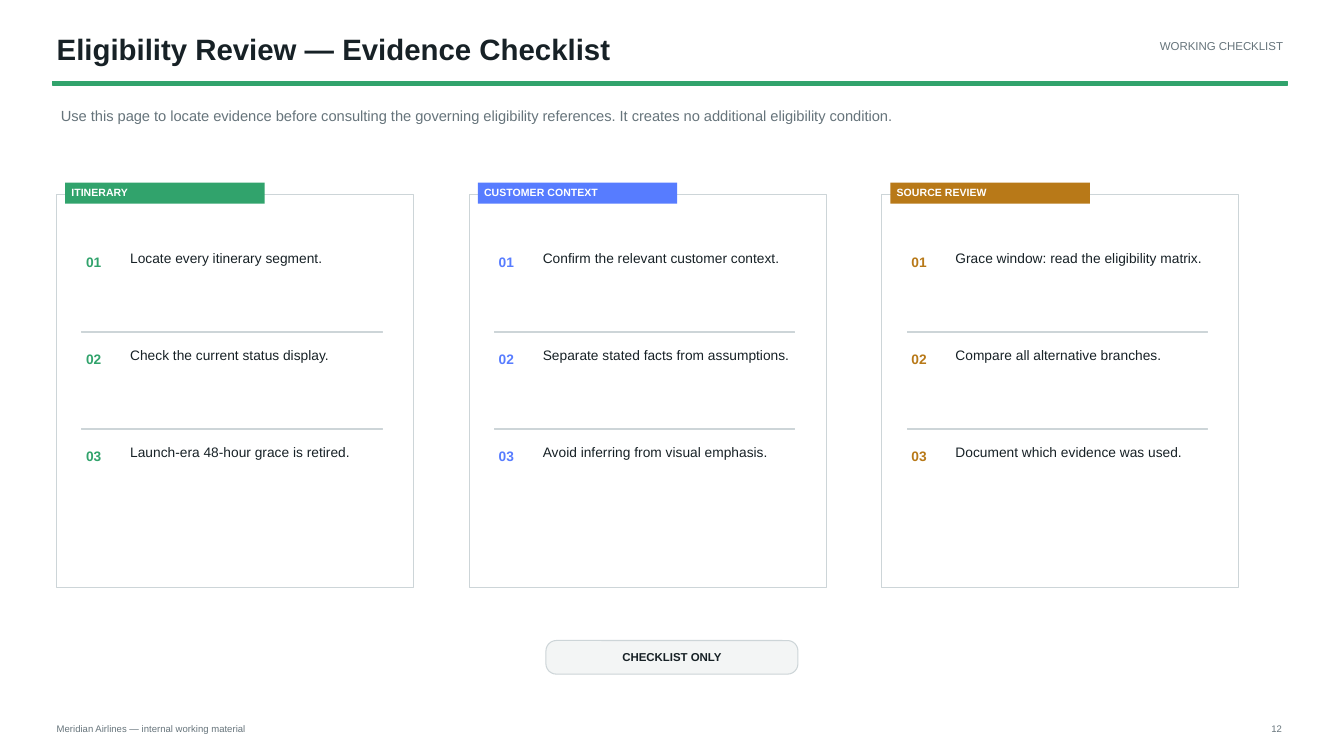
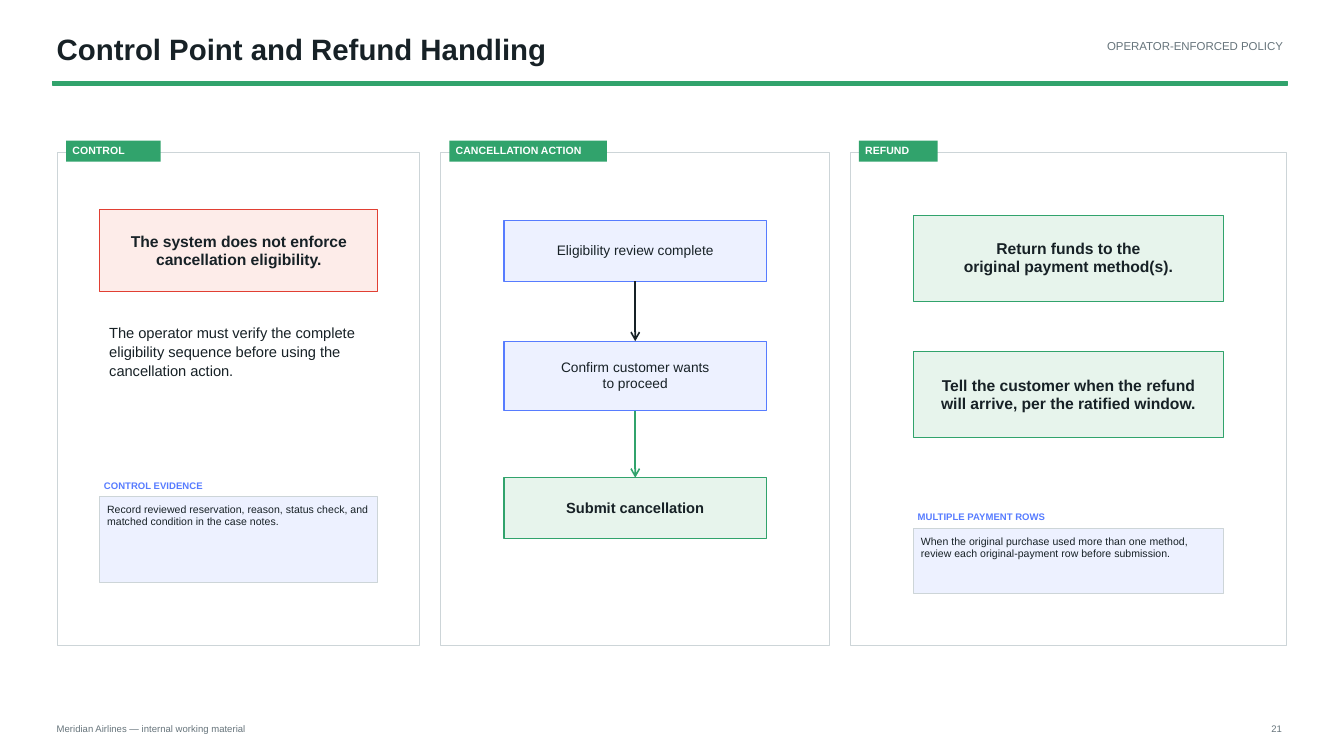
"""Build the checklist and refund slides on a grid of 1280 columns by 720 rows."""
from dataclasses import dataclass
from typing import NamedTuple, Optional

from lxml import etree
from pptx import Presentation
from pptx.dml.color import RGBColor
from pptx.enum.shapes import MSO_CONNECTOR, MSO_SHAPE
from pptx.enum.text import MSO_ANCHOR, MSO_AUTO_SIZE, PP_ALIGN
from pptx.oxml.ns import qn
from pptx.shapes.autoshape import Shape
from pptx.slide import Slide
from pptx.util import Inches, Pt

RECT, ROUND = MSO_SHAPE.RECTANGLE, MSO_SHAPE.ROUNDED_RECTANGLE
STRAIGHT = MSO_CONNECTOR.STRAIGHT
LEFT, MID, RIGHT = PP_ALIGN.LEFT, PP_ALIGN.CENTER, PP_ALIGN.RIGHT
TOP, CENTER = MSO_ANCHOR.TOP, MSO_ANCHOR.MIDDLE
FIXED = MSO_AUTO_SIZE.NONE
COLS, ROWS = 1280, 720
CELL = Inches(7.5) // ROWS
BOTTOM_SIDE, TOP_SIDE = 2, 0


@dataclass(frozen=True)
class Theme:
    font: str = "Arial"
    ink: str = "172126"
    muted: str = "66747B"
    rule: str = "CDD5D8"
    white: str = "FFFFFF"
    pale: str = "F3F5F5"
    green: str = "31A36C"
    mint: str = "E7F4EC"
    blue: str = "577CFF"
    ice: str = "EDF1FF"
    amber: str = "B87918"
    red: str = "E13F33"
    blush: str = "FDECE9"
    title: float = 21
    strong: float = 11.2
    lead: float = 10.5
    item: float = 9.8
    tag: float = 8.2
    small: float = 7.5
    foot: float = 6.8
    hair: float = 0.75
    arrow: float = 1.13


THEME = Theme()


class Area(NamedTuple):
    x: float
    y: float
    w: float
    h: float


class Pad(NamedTuple):
    left: int
    top: int
    right: int
    bottom: int


PLAIN, TAB = Pad(4, 2, 4, 2), Pad(6, 3, 6, 2)
CARD, NOTE, PILL = Pad(7, 6, 7, 6), Pad(7, 7, 7, 5), Pad(6, 3, 6, 3)


@dataclass(frozen=True)
class Style:
    size: float
    color: str = THEME.ink
    bold: bool = False
    align: PP_ALIGN = LEFT
    space: Optional[float] = None
    pad: Pad = PLAIN
    anchor: MSO_ANCHOR = TOP


TITLE = Style(THEME.title, bold=True)
KICKER = Style(THEME.tag, THEME.muted, align=RIGHT)
LEAD = Style(THEME.lead, THEME.muted)
PROSE = Style(THEME.lead, space=1.08)
ITEM = Style(THEME.item, space=1.08)
LABEL = Style(THEME.small, THEME.white, True, pad=TAB)
STRONG = Style(THEME.strong, THEME.ink, True, MID, 0.96, CARD, CENTER)
STEP = Style(THEME.item, THEME.ink, False, MID, 0.96, CARD, CENTER)
FINAL = Style(THEME.lead, THEME.ink, True, MID, 0.96, CARD, CENTER)
BADGE = Style(THEME.tag, THEME.ink, True, MID, 0.96, PILL, CENTER)
CAPTION = Style(THEME.foot, THEME.blue, True)
REMARK = Style(THEME.small, space=0.96, pad=NOTE)
FOOT = Style(THEME.foot, THEME.muted)
PAGE = Style(THEME.foot, THEME.muted, align=RIGHT)


@dataclass(frozen=True)
class Panel:
    label: str
    area: Area
    tab: int
    color: str = THEME.green


@dataclass(frozen=True)
class Check:
    label: str
    color: str
    items: tuple[str, ...]


@dataclass(frozen=True)
class Card:
    text: str
    area: Area
    fill: str
    line: str
    style: Style


def emu(area: Area) -> list[int]:
    return [round(part * CELL) for part in area]


def write(shape: Shape, text: str, style: Style) -> None:
    frame = shape.text_frame
    frame.word_wrap = True
    frame.auto_size = FIXED
    frame.vertical_anchor = style.anchor
    frame.margin_left, frame.margin_top = style.pad.left * CELL, style.pad.top * CELL
    frame.margin_right, frame.margin_bottom = style.pad.right * CELL, style.pad.bottom * CELL
    frame.text = text
    for para in frame.paragraphs:
        para.alignment = style.align
        para.space_before = Pt(0)
        if style.space:
            para.line_spacing = style.space
        if shape.is_placeholder:
            props = para._p.get_or_add_pPr()
            props.set("marL", "0")
            props.set("indent", "0")
            etree.SubElement(props, qn("a:buNone"))
        para.font.name = THEME.font
        para.font.size = Pt(style.size)
        para.font.bold = style.bold
        para.font.color.rgb = RGBColor.from_string(style.color)


def add_text(slide: Slide, area: Area, text: str, style: Style) -> None:
    write(slide.shapes.add_textbox(*emu(area)), text, style)


def fill_holder(shape: Shape, area: Area, text: str, style: Style) -> None:
    shape.left, shape.top, shape.width, shape.height = emu(area)
    write(shape, text, style)


def add_box(slide: Slide, area: Area, fill: Optional[str] = None,
            line: Optional[str] = None, width: float = THEME.hair,
            kind: MSO_SHAPE = RECT) -> Shape:
    shape = slide.shapes.add_shape(kind, *emu(area))
    shape.shadow.inherit = False
    if fill:
        shape.fill.solid()
        shape.fill.fore_color.rgb = RGBColor.from_string(fill)
    else:
        shape.fill.background()
    if line:
        shape.line.color.rgb = RGBColor.from_string(line)
        shape.line.width = Pt(width)
    else:
        shape.line.fill.background()
    return shape


def add_rule(slide: Slide, area: Area, color: str) -> None:
    add_box(slide, area, color, color, 0)


def add_card(slide: Slide, card: Card) -> Shape:
    shape = add_box(slide, card.area, card.fill, card.line)
    write(shape, card.text, card.style)
    return shape


def add_panel(slide: Slide, panel: Panel) -> None:
    add_box(slide, panel.area, line=THEME.rule)
    tab = Area(panel.area.x + 8, panel.area.y - 11, panel.tab, 20)
    write(add_box(slide, tab, panel.color), panel.label, LABEL)


def add_note(slide: Slide, area: Area, label: str, text: str) -> None:
    add_text(slide, area._replace(y=area.y - 18, h=18), label, CAPTION)
    add_card(slide, Card(text, area, THEME.ice, THEME.rule, REMARK))


def add_arrow(slide: Slide, start: Shape, end: Shape, color: str) -> None:
    link = slide.shapes.add_connector(STRAIGHT, 0, 0, 0, 0)
    link.begin_connect(start, BOTTOM_SIDE)
    link.end_connect(end, TOP_SIDE)
    link.line.color.rgb = RGBColor.from_string(color)
    link.line.width = Pt(THEME.arrow)
    props = link._element.spPr
    etree.SubElement(props.find(qn("a:ln")), qn("a:tailEnd"), type="arrow")
    etree.SubElement(props, qn("a:effectLst"))


def add_page(deck: Presentation, title: str, kicker: str, page: int,
             body: Area, text: str, style: Style) -> Slide:
    slide = deck.slides.add_slide(deck.slide_layouts[1])
    fill_holder(slide.shapes.title, Area(50, 28, 850, 42), title, TITLE)
    fill_holder(slide.placeholders[1], body, text, style)
    add_text(slide, Area(902, 35, 324, 30), kicker, KICKER)
    add_rule(slide, Area(50, 78, 1176, 3), THEME.green)
    add_text(slide, Area(50, 687, 300, 18), "Meridian Airlines — internal working material", FOOT)
    add_text(slide, Area(1175, 687, 50, 18), str(page), PAGE)
    return slide


def add_checks(deck: Presentation) -> None:
    slide = add_page(
        deck, "Eligibility Review — Evidence Checklist", "WORKING CHECKLIST", 12,
        Area(54, 100, 1120, 42),
        "Use this page to locate evidence before consulting the governing eligibility "
        "references. It creates no additional eligibility condition.", LEAD)
    checks = (
        Check("ITINERARY", THEME.green, (
            "Locate every itinerary segment.",
            "Check the current status display.",
            "Launch-era 48-hour grace is retired.")),
        Check("CUSTOMER CONTEXT", THEME.blue, (
            "Confirm the relevant customer context.",
            "Separate stated facts from assumptions.",
            "Avoid inferring from visual emphasis.")),
        Check("SOURCE REVIEW", THEME.amber, (
            "Grace window: read the eligibility matrix.",
            "Compare all alternative branches.",
            "Document which evidence was used.")),
    )
    for col, check in enumerate(checks):
        x = 54 + 393 * col
        add_panel(slide, Panel(check.label, Area(x, 185, 340, 375), 190, check.color))
        mark = Style(THEME.item, check.color, True)
        for row, item in enumerate(check.items):
            y = 235 + 92 * row
            if row:
                add_rule(slide, Area(x + 24, y - 11, 286, 1), THEME.rule)
            add_text(slide, Area(x + 24, y + 5, 34, 28), f"{row + 1:02}", mark)
            add_text(slide, Area(x + 66, y, 245, 66), item, ITEM)
    pill = add_box(slide, Area(520, 610, 240, 32), THEME.pale, THEME.rule, kind=ROUND)
    pill.adjustments[0] = 0.31
    write(pill, "CHECKLIST ONLY", BADGE)


def add_refund(deck: Presentation) -> None:
    slide = add_page(
        deck, "Control Point and Refund Handling", "OPERATOR-ENFORCED POLICY", 21,
        Area(100, 305, 255, 92),
        "The operator must verify the complete eligibility sequence before using the "
        "cancellation action.", PROSE)
    x = 55
    for label, width, tab in (("CONTROL", 345, 90), ("CANCELLATION ACTION", 370, 150),
                              ("REFUND", 415, 75)):
        add_panel(slide, Panel(label, Area(x, 145, width, 470), tab))
        x += width + 20

    add_card(slide, Card("The system does not enforce\ncancellation eligibility.",
                         Area(95, 200, 265, 78), THEME.blush, THEME.red, STRONG))
    add_note(slide, Area(95, 473, 265, 82), "CONTROL EVIDENCE",
             "Record reviewed reservation, reason, status check, and matched condition "
             "in the case notes.")

    first, second, last = [add_card(slide, card) for card in (
        Card("Eligibility review complete", Area(480, 210, 250, 58),
             THEME.ice, THEME.blue, STEP),
        Card("Confirm customer wants\nto proceed", Area(480, 325, 250, 66),
             THEME.ice, THEME.blue, STEP),
        Card("Submit cancellation", Area(480, 455, 250, 58),
             THEME.mint, THEME.green, FINAL))]
    add_arrow(slide, first, second, THEME.ink)
    add_arrow(slide, second, last, THEME.green)

    for row, text in enumerate((
            "Return funds to the\noriginal payment method(s).",
            "Tell the customer when the refund\nwill arrive, per the ratified window.")):
        add_card(slide, Card(text, Area(870, 205 + 130 * row, 295, 82),
                             THEME.mint, THEME.green, STRONG))
    add_note(slide, Area(870, 503, 295, 62), "MULTIPLE PAYMENT ROWS",
             "When the original purchase used more than one method, review each "
             "original-payment row before submission.")


def main() -> None:
    deck = Presentation()
    deck.slide_width, deck.slide_height = COLS * CELL, ROWS * CELL
    add_checks(deck)
    add_refund(deck)
    deck.save("out.pptx")


if __name__ == "__main__":
    main()
